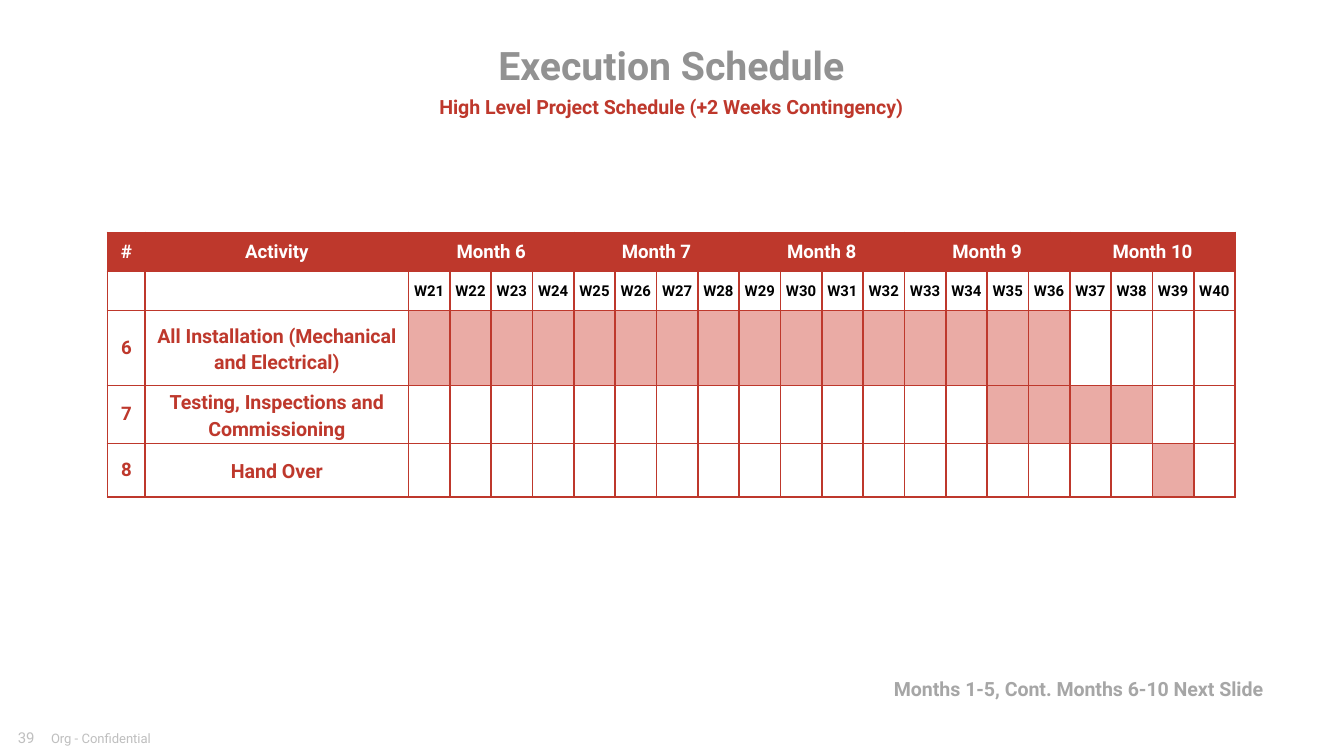
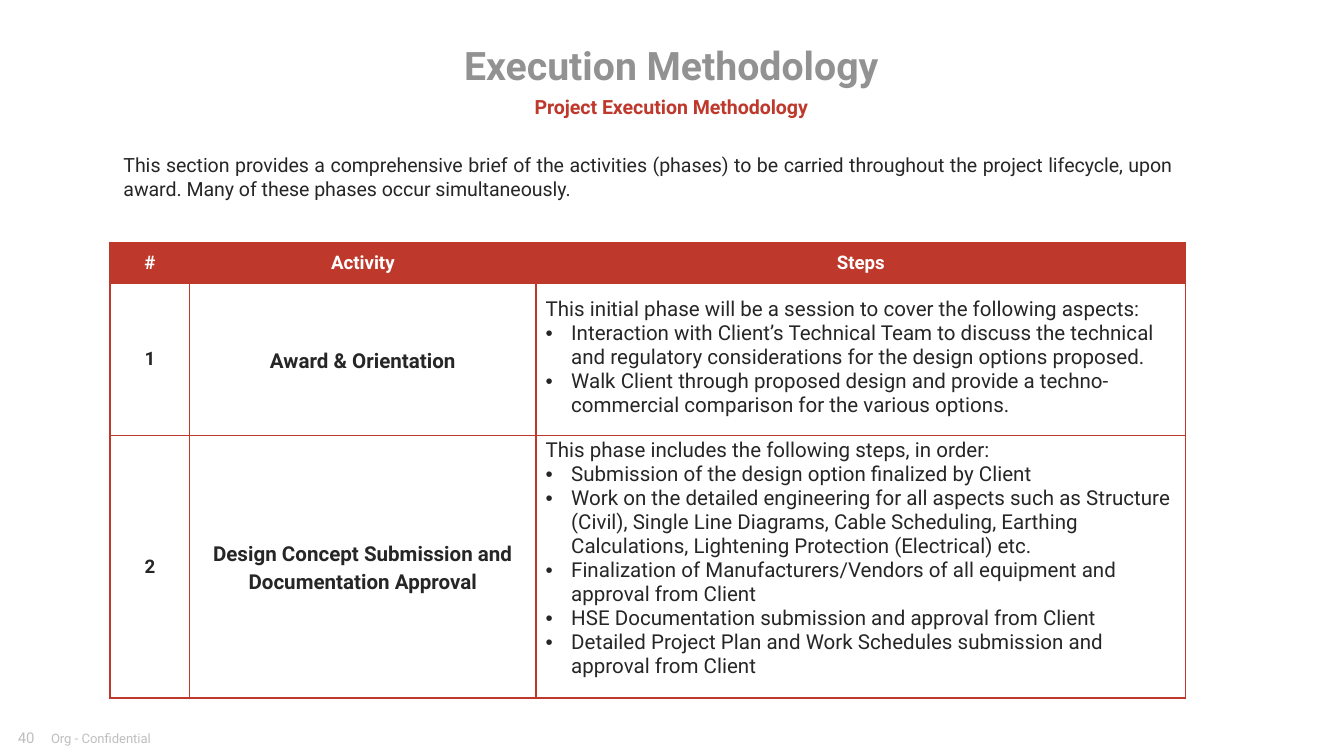
from lxml import etree
from pptx import Presentation
from pptx import util as u
from pptx.dml.color import RGBColor
from pptx.enum import text
from pptx.oxml.ns import qn

PX = u.Inches(1) // 100  # 100 px to the inch
RED, PALE_RED, WHITE, BLACK = "BE382C", "EAABA5", "FFFFFF", "000000"
INK, TITLE_GREY, NOTE_GREY, FOOTER_GREY = "262626", "929292", "A6A6A6", "BFBFBF"
LEFT, CENTER, RIGHT, JUSTIFY = (text.PP_ALIGN.LEFT, text.PP_ALIGN.CENTER,
                                text.PP_ALIGN.RIGHT, text.PP_ALIGN.JUSTIFY)
CELL = (7, 0, 7, 0)
INSET = (10, 5, 10, 5)
FLUSH = (0, 0, 0, 0)


def write(owner, lines, size, color, bold=False, align=CENTER, margins=CELL,
          spacing=None, anchor=text.MSO_ANCHOR.MIDDLE):
    """Fill a cell or text frame; every line after the first is a bullet."""
    frame = getattr(owner, "text_frame", owner)
    owner.vertical_anchor = anchor
    owner.margin_left, owner.margin_top, owner.margin_right, owner.margin_bottom = (
        margin * PX for margin in margins)
    for number, line in enumerate(lines):
        para = frame.add_paragraph() if number else frame.paragraphs[0]
        para.text = line
        para.alignment = align
        if number:
            props = para._p.get_or_add_pPr()
            props.set("marL", str(19 * PX))
            props.set("indent", str(-19 * PX))
            etree.SubElement(props, qn("a:buFont"), typeface="Arial")
            etree.SubElement(props, qn("a:buChar"), char="•")
        elif spacing:
            para.line_spacing = spacing
        para.font.name = "Roboto"
        para.font.size = u.Pt(size)
        para.font.bold = bold
        para.font.color.rgb = RGBColor.from_string(color)
        if not line:
            etree.SubElement(para._p, qn("a:endParaRPr"), sz=str(size * 100))


def add_grid(page, left, top, widths, heights):
    """Add a plain table with red cell borders; widths are in EMU."""
    grid = page.shapes.add_table(len(heights), len(widths), left * PX, top * PX,
                                 sum(widths), sum(heights) * PX).table
    grid.first_row = grid.horz_banding = False
    for column, width in zip(grid.columns, widths):
        column.width = width
    for row, height in zip(grid.rows, heights):
        row.height = height * PX
    for cell in grid.iter_cells():
        props = cell._tc.get_or_add_tcPr()
        for side in ("lnL", "lnR", "lnT", "lnB"):
            line = etree.SubElement(props, qn("a:" + side), w=str(u.Pt(1)))
            fill = etree.SubElement(line, qn("a:solidFill"))
            etree.SubElement(fill, qn("a:srgbClr"), val=RED)
        cell.fill.background()
    for cell in grid.rows[0].cells:
        cell.fill.solid()
        cell.fill.fore_color.rgb = RGBColor.from_string(RED)
    return grid


deck = Presentation()
deck.slide_width = 1000 * PX
deck.slide_height = deck.slide_width * 9 // 16

# Title, subtitle and footer of each slide
pages = []
for number, title, subtitle in (
        (39, "Execution Schedule", "High Level Project Schedule (+2 Weeks Contingency)"),
        (40, "Execution Methodology", "Project Execution Methodology")):
    page = deck.slides.add_slide(deck.slide_layouts[5])
    pages.append(page)
    heading = page.shapes.title
    heading.left, heading.top, heading.width, heading.height = (
        27 * PX, 29 * PX, 945 * PX, 39 * PX)
    heading.text_frame.auto_size = text.MSO_AUTO_SIZE.NONE
    heading.text_frame.word_wrap = False
    write(heading.text_frame, [title], 21, TITLE_GREY, True, margins=FLUSH)
    for left, top, width, height, words, size, color, bold, align, margins in (
            (27, 68, 945, 22, subtitle, 10.5, RED, True, CENTER, FLUSH),
            (0, 534, 39, 30, str(number), 8, FOOTER_GREY, False, CENTER, INSET),
            (38, 543, 154, 12, "Org - Confidential", 7, FOOTER_GREY, False, LEFT, FLUSH)):
        box = page.shapes.add_textbox(left * PX, top * PX, width * PX, height * PX)
        box.text_frame.word_wrap = True
        write(box.text_frame, [words], size, color, bold, align, margins)
schedule, methodology = pages

# Free text on each slide
for page, left, top, width, height, words, color, bold, align in (
        (schedule, 530, 499, 420, 28, "Months 1-5, Cont. Months 6-10 Next Slide",
         NOTE_GREY, True, RIGHT),
        (methodology, 82, 109, 801, 45,
         "This section provides a comprehensive brief of the activities (phases) to be "
         "carried throughout the project lifecycle, upon award. Many of these phases "
         "occur simultaneously.", INK, False, JUSTIFY)):
    box = page.shapes.add_textbox(left * PX, top * PX, width * PX, height * PX)
    box.text_frame.word_wrap = True
    write(box.text_frame, [words], 10.5, color, bold, align, INSET,
          anchor=text.MSO_ANCHOR.TOP)

# Schedule: 20 weeks in five months, activities with first and last week
FIRST_WEEK, WEEKS = 21, 20
activities = (
    (6, "All Installation (Mechanical and Electrical)", 21, 36),
    (7, "Testing, Inspections and Commissioning", 35, 38),
    (8, "Hand Over", 39, 39),
)
gantt = add_grid(schedule, 80, 173, [28 * PX, 196 * PX] + [615 * PX // WEEKS] * WEEKS,
                 [29, 29, 56, 43, 40])
for column, label in enumerate(("#", "Activity")):
    write(gantt.cell(0, column), [label], 10, WHITE, True)
    write(gantt.cell(1, column), [""], 8, BLACK)
for month in range(5):
    column = 2 + 4 * month
    gantt.cell(0, column).merge(gantt.cell(0, column + 3))
    write(gantt.cell(0, column), [f"Month {month + 6}"], 10, WHITE, True)
for week in range(FIRST_WEEK, FIRST_WEEK + WEEKS):
    column = 2 + week - FIRST_WEEK
    cell = gantt.cell(1, column)
    write(cell, [f"W{week}"], 8, BLACK, True, margins=(1, 1, 1, 0))
    cell.fill.solid()
    cell.fill.fore_color.rgb = RGBColor.from_string(WHITE)
    for row, (_, _, start, end) in enumerate(activities, 2):
        cell = gantt.cell(row, column)
        write(cell, [""], 8, BLACK)
        if start <= week <= end:
            cell.fill.solid()
            cell.fill.fore_color.rgb = RGBColor.from_string(PALE_RED)
for row, (number, activity, _, _) in enumerate(activities, 2):
    write(gantt.cell(row, 0), [str(number)], 10, RED, True)
    write(gantt.cell(row, 1), [activity], 10.5, RED, True, spacing=1.15)

# Methodology: phases and their steps
phases = (
    ("Award & Orientation", 1.5, [
        "This initial phase will be a session to cover the following aspects:",
        "Interaction with Client’s Technical Team to discuss the technical and regulatory "
        "considerations for the design options proposed.",
        "Walk Client through proposed design and provide a techno-commercial comparison "
        "for the various options."]),
    ("Design Concept Submission and Documentation Approval", None, [
        "This phase includes the following steps, in order:",
        "Submission of the design option finalized by Client",
        "Work on the detailed engineering for all aspects such as Structure (Civil), "
        "Single Line Diagrams, Cable Scheduling, Earthing Calculations, Lightening "
        "Protection (Electrical) etc.",
        "Finalization of Manufacturers/Vendors of all equipment and approval from Client",
        "HSE Documentation submission and approval from Client",
        "Detailed Project Plan and Work Schedules submission and approval from Client"]),
)
plan = add_grid(methodology, 82, 181, [59 * PX, 258 * PX, 483 * PX], [30, 113, 195])
for column, label in enumerate(("#", "Activity", "Steps")):
    write(plan.cell(0, column), [label], 10, WHITE, True)
for row, (phase, spacing, steps) in enumerate(phases, 1):
    write(plan.cell(row, 0), [str(row)], 10, INK, True)
    write(plan.cell(row, 1), [phase], 11, INK, True, spacing=1.15)
    write(plan.cell(row, 2), steps, 11, INK, align=LEFT, margins=(7, 0, 7, 12),
          spacing=spacing)

deck.save("out.pptx")
